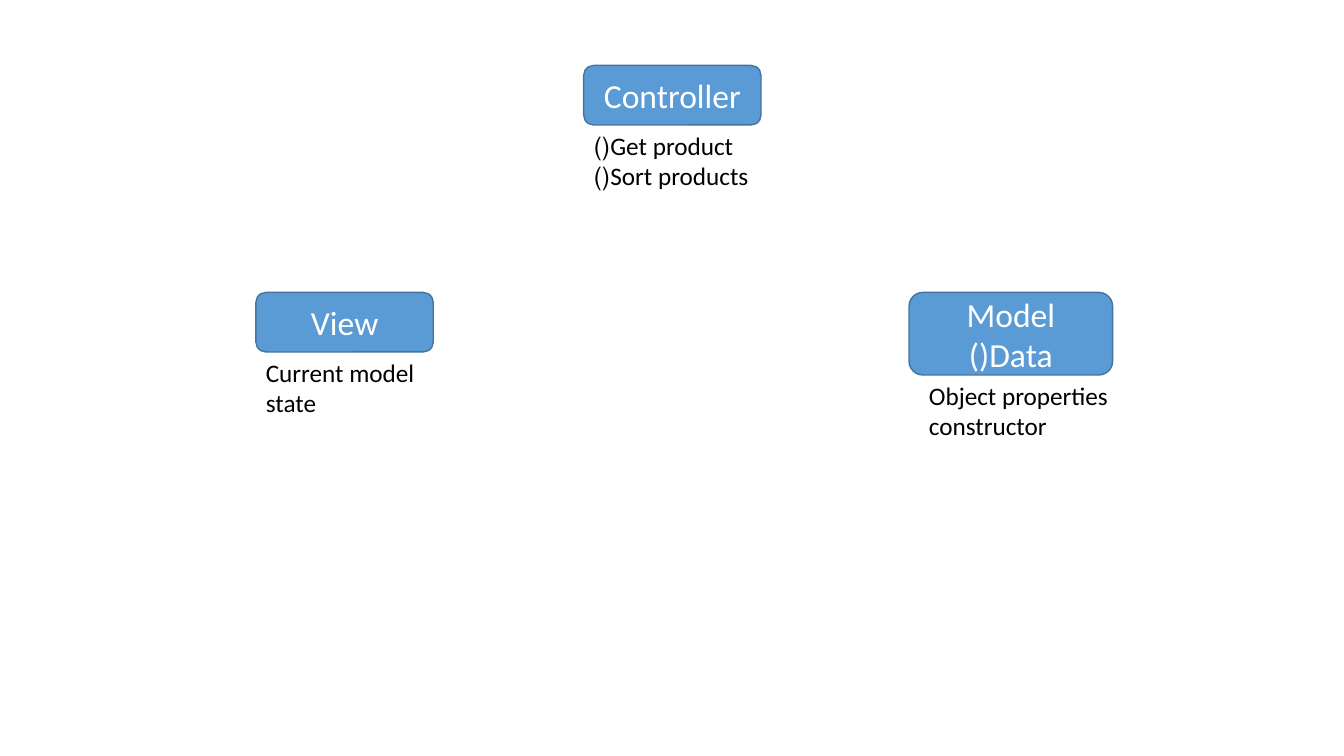
"""Build a slide of the model, view and controller roles with their duties."""
from dataclasses import dataclass

import pptx
import pptx.dml.color
import pptx.enum.shapes
import pptx.enum.text
import pptx.util
from pptx.util import Cm

COLORS = {"box": "5B9BD5", "outline": "43739E", "title": "FFFFFF", "duty": "000000"}
DUTIES_HEIGHT = 1.8


@dataclass
class Role:
    title: str
    duties: str
    left: float
    top: float
    width: float = 4.47
    height: float = 1.5
    duties_indent: float = 0
    duties_width: float = 4.6


ROLES = [
    Role("Controller", "Get product()\nSort products()", 14.71, 1.65),
    Role("Model ()Data", "Object properties\nconstructor", 22.91, 7.37,
         width=5.13, height=2.08, duties_indent=0.25, duties_width=5.61),
    Role("View", "Current model state", 6.45, 7.37),
]


def rgb(name: str) -> pptx.dml.color.RGBColor:
    return pptx.dml.color.RGBColor.from_string(COLORS[name])


def write(frame: pptx.text.text.TextFrame, text: str, size: int, color: str,
          alignment: pptx.enum.text.PP_ALIGN) -> None:
    frame.word_wrap = True
    frame.text = text
    for paragraph in frame.paragraphs:
        paragraph.alignment = alignment
        paragraph._p.get_or_add_pPr().set("rtl", "1")
        for run in paragraph.runs:
            run.font.name = "Calibri"
            run.font.size = pptx.util.Pt(size)
            run.font.color.rgb = rgb(color)


def draw_role(slide: pptx.slide.Slide, role: Role) -> None:
    box = slide.shapes.add_shape(
        pptx.enum.shapes.MSO_SHAPE.ROUNDED_RECTANGLE,
        Cm(role.left), Cm(role.top), Cm(role.width), Cm(role.height))
    box.shadow.inherit = False
    box.fill.solid()
    box.fill.fore_color.rgb = rgb("box")
    box.line.color.rgb = rgb("outline")
    box.line.width = pptx.util.Pt(1)
    box.text_frame.vertical_anchor = pptx.enum.text.MSO_ANCHOR.MIDDLE
    write(box.text_frame, role.title, 24, "title", pptx.enum.text.PP_ALIGN.CENTER)

    duties = slide.shapes.add_textbox(
        Cm(role.left + role.duties_indent), Cm(role.top + role.height),
        Cm(role.duties_width), Cm(DUTIES_HEIGHT))
    write(duties.text_frame, role.duties, 18, "duty", pptx.enum.text.PP_ALIGN.LEFT)
    duties.text_frame.auto_size = pptx.enum.text.MSO_AUTO_SIZE.SHAPE_TO_FIT_TEXT


def main() -> None:
    deck = pptx.Presentation()
    deck.slide_width, deck.slide_height = Cm(33.87), Cm(19.05)
    slide = deck.slides.add_slide(deck.slide_layouts[6])
    for role in ROLES:
        draw_role(slide, role)
    deck.save("out.pptx")


main()
